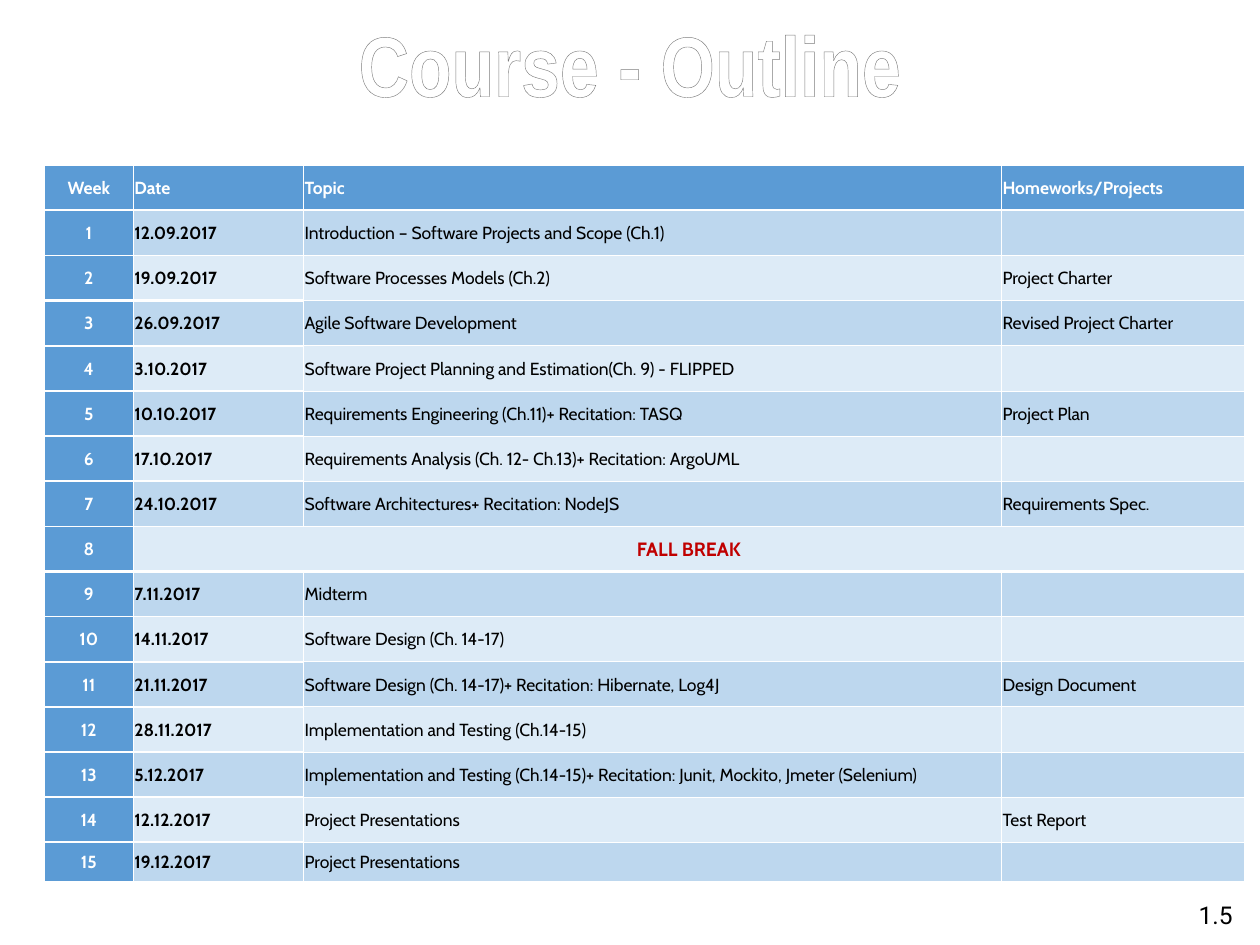
import dataclasses

import pptx
import pptx.util
import pptx.dml.color
import pptx.enum.text
import pptx.oxml
import pptx.oxml.ns
from lxml import etree

Cm, Pt = pptx.util.Cm, pptx.util.Pt
RGBColor = pptx.dml.color.RGBColor
Align = pptx.enum.text.PP_ALIGN
Anchor = pptx.enum.text.MSO_ANCHOR
qn = pptx.oxml.ns.qn

WHITE = RGBColor(0xFF, 0xFF, 0xFF)
BLACK = RGBColor(0, 0, 0)
RED = RGBColor(0xC0, 0, 0)
BLUE = RGBColor(0x5B, 0x9B, 0xD5)
MID = RGBColor(0xBD, 0xD7, 0xEE)
PALE = RGBColor(0xDD, 0xEB, 0xF7)
GREY = RGBColor(0x7F, 0x7F, 0x7F)
EDGE = RGBColor(0x7D, 0x7D, 0x7D)

HEADS = ("Week", "Date", "Topic", "Homeworks/Projects")
WIDTHS = (1.8, 3.43, 14.07, 4.9)
ROW, LAST = 0.91, 0.79
BREAK = 8
SHINE = ((0, WHITE), (9, WHITE), (50, GREY), (79, WHITE), (100, WHITE))


@dataclasses.dataclass
class Week:
    date: str
    topic: str
    work: str = ""


@dataclasses.dataclass
class Style:
    size: float
    color: RGBColor
    bold: bool = False
    align: Align = Align.LEFT
    font: str = "Cabin"


HEAD = Style(10, WHITE, True)
NUM = Style(10, WHITE, True, Align.CENTER)
DATE = Style(10, BLACK, True)
BODY = Style(10, BLACK)
PAUSE = Style(11, RED, True, Align.CENTER)
TITLE = Style(48.6, WHITE, True, Align.CENTER, "Arial Narrow")
PAGE = Style(14, BLACK, False, Align.RIGHT, "Roboto")

WEEKS = (
    Week("12.09.2017", "Introduction – Software Projects and Scope (Ch.1)"),
    Week("19.09.2017", "Software Processes Models (Ch.2)", "Project Charter"),
    Week("26.09.2017", "Agile Software Development", "Revised Project Charter"),
    Week("3.10.2017", "Software Project Planning and Estimation(Ch. 9) - FLIPPED"),
    Week("10.10.2017", "Requirements Engineering (Ch.11)+ Recitation: TASQ", "Project Plan"),
    Week("17.10.2017", "Requirements Analysis (Ch. 12- Ch.13)+ Recitation: ArgoUML"),
    Week("24.10.2017", "Software Architectures+ Recitation: NodeJS", "Requirements Spec."),
    Week("FALL BREAK", ""),
    Week("7.11.2017", "Midterm"),
    Week("14.11.2017", "Software Design (Ch. 14-17)"),
    Week("21.11.2017", "Software Design (Ch. 14-17)+ Recitation: Hibernate, Log4J",
         "Design Document"),
    Week("28.11.2017", "Implementation and Testing (Ch.14-15)"),
    Week("5.12.2017", "Implementation and Testing (Ch.14-15)+ Recitation: "
         "Junit, Mockito, Jmeter (Selenium)"),
    Week("12.12.2017", "Project Presentations", "Test Report"),
    Week("19.12.2017", "Project Presentations"),
)


def write(frame, text: str, style: Style):
    """Put one styled run in the first paragraph and return it."""
    para = frame.paragraphs[0]
    para.alignment = style.align
    if not text:
        # An empty cell keeps its row low only with a small end mark.
        etree.SubElement(para._p, qn("a:endParaRPr"), sz=str(style.size * 100))
        return None
    run = para.add_run()
    run.text = text
    run.font.size = Pt(style.size)
    run.font.name = style.font
    run.font.bold = style.bold
    run.font.color.rgb = style.color
    return run


def label(slide, text: str, style: Style, left: float, top: float,
          width: float, height: float):
    box = slide.shapes.add_textbox(Cm(left), Cm(top), Cm(width), Cm(height))
    frame = box.text_frame
    frame.word_wrap = True
    frame.vertical_anchor = Anchor.MIDDLE
    return write(frame, text, style)


def shine(run) -> None:
    """Give the run a thin outline and a vertical gradient."""
    space = 'xmlns:a="http://schemas.openxmlformats.org/drawingml/2006/main"'
    stops = "".join(f'<a:gs pos="{pos * 1000}"><a:srgbClr val="{color}"/></a:gs>'
                    for pos, color in SHINE)
    line = (f'<a:ln {space} w="{Pt(0.83)}"><a:solidFill>'
            f'<a:srgbClr val="{EDGE}"/></a:solidFill></a:ln>')
    fill = (f'<a:gradFill {space}><a:gsLst>{stops}</a:gsLst>'
            '<a:lin ang="5400000"/></a:gradFill>')
    props = run.font._element
    props.remove(props.find(qn("a:solidFill")))
    props.insert(0, pptx.oxml.parse_xml(line))
    props.insert(1, pptx.oxml.parse_xml(fill))


def rule(row: int, col: int) -> float:
    """Width of the line above a row."""
    if row == 1 or (row % 2 and col < 2):
        return 1.5
    return 1 if col < 2 else 0.5


def border(cell, row: int, col: int) -> None:
    props = cell._tc.get_or_add_tcPr()
    sides = (("L", 1), ("R", 1), ("T", rule(row, col)), ("B", rule(row + 1, col)))
    for spot, (side, width) in enumerate(sides):
        line = etree.Element(qn(f"a:ln{side}"), w=str(Pt(width)))
        fill = etree.SubElement(line, qn("a:solidFill"))
        etree.SubElement(fill, qn("a:srgbClr"), val=str(WHITE))
        props.insert(spot, line)


def fill(cell, row: int, col: int, text: str, style: Style) -> None:
    cell.margin_left = cell.margin_right = cell.margin_top = Cm(0.02)
    cell.margin_bottom = 0
    cell.vertical_anchor = Anchor.MIDDLE
    cell.fill.solid()
    shade = MID if row % 2 else PALE
    cell.fill.fore_color.rgb = BLUE if row == 0 or col == 0 else shade
    border(cell, row, col)
    write(cell.text_frame, text, style)


def plan(slide) -> None:
    """Draw the table of weeks."""
    count = len(WEEKS) + 1
    high = ROW * (count - 1) + LAST
    grid = slide.shapes.add_table(count, len(HEADS), Cm(0.89), Cm(3.33),
                                  Cm(sum(WIDTHS)), Cm(high)).table
    for col, width in enumerate(WIDTHS):
        grid.columns[col].width = Cm(width)
    for row in grid.rows:
        row.height = Cm(ROW)
    grid.rows[count - 1].height = Cm(LAST)
    grid.cell(BREAK, 1).merge(grid.cell(BREAK, 3))

    for col, head in enumerate(HEADS):
        fill(grid.cell(0, col), 0, col, head, HEAD if col else NUM)
    for row, week in enumerate(WEEKS, 1):
        texts = (str(row), week.date, week.topic, week.work)
        styles = (NUM, PAUSE if row == BREAK else DATE, BODY, BODY)
        for col, (text, style) in enumerate(zip(texts, styles)):
            fill(grid.cell(row, col), row, col, text, style)


def main() -> None:
    deck = pptx.Presentation()
    deck.slide_width, deck.slide_height = Cm(25.4), Cm(19.05)
    slide = deck.slides.add_slide(deck.slide_layouts[6])
    label(slide, "1.5", PAGE, 20.7, 17.93, 4.4, 1.02)
    shine(label(slide, "Course - Outline", TITLE, 0, 0.48, 25.4, 1.57))
    plan(slide)
    deck.save("out.pptx")


if __name__ == "__main__":
    main()
